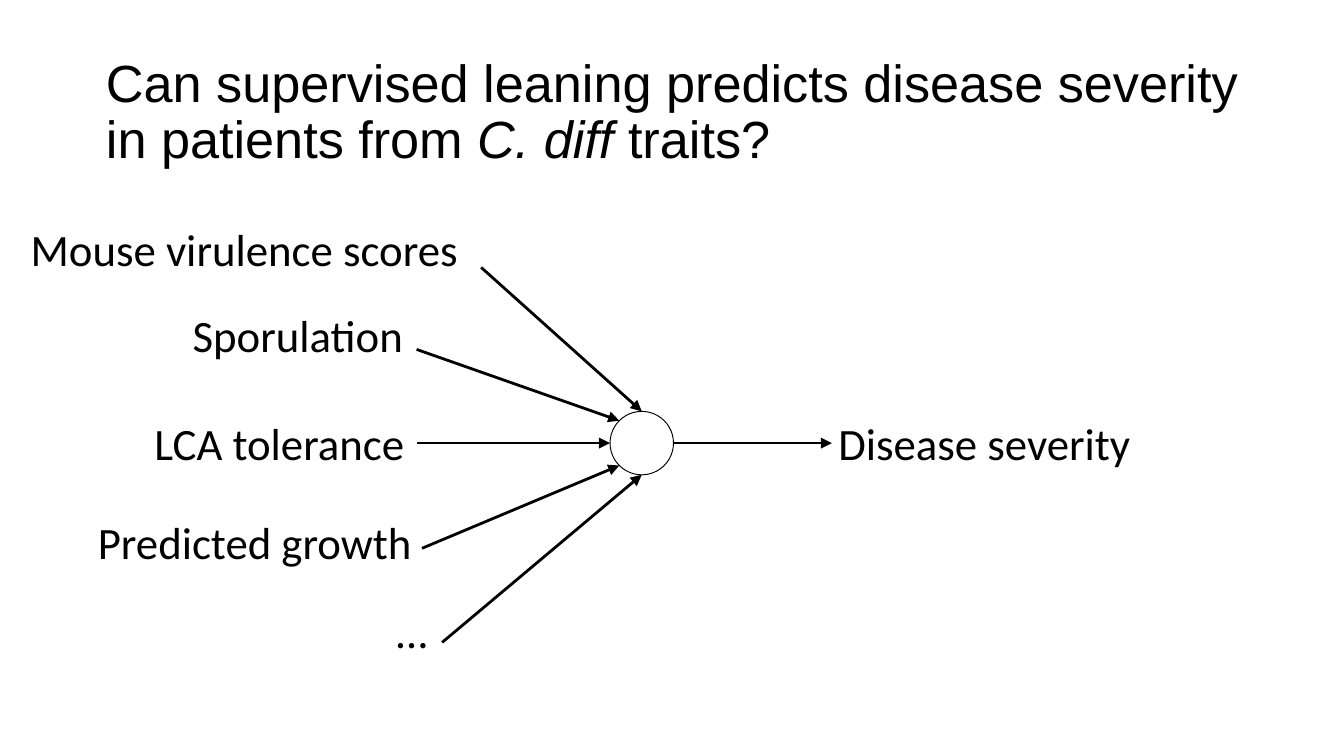
from math import cos, radians, sin

from lxml import etree
from pptx import Presentation
from pptx.dml.color import RGBColor
from pptx.enum.shapes import MSO_CONNECTOR, MSO_SHAPE
from pptx.enum.text import MSO_ANCHOR, MSO_AUTO_SIZE, PP_ALIGN
from pptx.oxml.ns import qn
from pptx.util import Inches, Pt

STRAIGHT = MSO_CONNECTOR.STRAIGHT
OVAL = MSO_SHAPE.OVAL
MIDDLE = MSO_ANCHOR.MIDDLE
LEFT = PP_ALIGN.LEFT
GROW = MSO_AUTO_SIZE.SHAPE_TO_FIT_TEXT
FIXED = MSO_AUTO_SIZE.NONE

# The grid has 100 columns and 56.25 rows, each a tenth of an inch
COLUMNS, ROWS = 100, 56.25
INK = "000000"
LABEL_HEIGHT = 7.7

# Model node: centre and radius in grid units
NODE_X, NODE_Y, NODE_RADIUS = 47.75, 32.97, 2.36

# Each trait: label, left, top, width, start of its arrow
TRAITS = [
    ("Mouse virulence scores", 1.3, 16, 34.5, (35.8, 19.9)),
    ("Sporulation", 13.35, 22.4, 25.4, (31, 26)),
    ("LCA tolerance", 10.5, 30.45, 25.4, (31, NODE_Y)),
    ("Predicted growth", 6.3, 37.8, 29, (31.4, 40.8)),
    ("…", 28.5, 44.4, 4.8, (32.9, 47.8)),
]


def grid(*units):
    return [Inches(unit / 10) for unit in units]


def color(hex_string):
    return RGBColor.from_string(hex_string)


def add_run(paragraph, text, font, size, italic=False):
    run = paragraph.add_run()
    run.text = text
    run.font.name = font
    run.font.size = Pt(size)
    run.font.italic = italic
    run.font.color.rgb = color(INK)


def set_title(slide):
    title = slide.shapes.title
    title.left, title.top, title.width, title.height = grid(6.88, 3, 86.25, 10.87)
    frame = title.text_frame
    frame.word_wrap = True
    frame.auto_size = FIXED
    frame.vertical_anchor = MIDDLE
    question = frame.paragraphs[0]
    question.alignment = LEFT
    question.line_spacing = 0.9
    add_run(question, "Can supervised leaning predicts disease severity in patients from ", "Arial", 28)
    add_run(question, "C. diff", "Arial", 28, italic=True)
    add_run(question, " traits?", "Arial", 28)


def add_label(slide, text, left, top, width):
    frame = slide.shapes.add_textbox(*grid(left, top, width, LABEL_HEIGHT)).text_frame
    frame.word_wrap = True
    frame.auto_size = GROW
    add_run(frame.paragraphs[0], text, "Calibri", 24)


def add_arrow(slide, start, end):
    arrow = slide.shapes.add_connector(STRAIGHT, *grid(*start, *end))
    arrow.line.color.rgb = color(INK)
    arrow.line.width = Pt(1.5)
    etree.SubElement(arrow.get_or_add_ln(), qn("a:tailEnd"), type="triangle")
    etree.SubElement(arrow._element.spPr, qn("a:effectLst"))


def add_node(slide):
    diameter = 2 * NODE_RADIUS
    node = slide.shapes.add_shape(
        OVAL, *grid(NODE_X - NODE_RADIUS, NODE_Y - NODE_RADIUS, diameter, diameter))
    node.shadow.inherit = False
    node.fill.background()
    node.line.color.rgb = color(INK)
    node.line.width = Pt(0.5)


def node_edge(degrees):
    """Point on the node's rim, counted anticlockwise from its right side."""
    angle = radians(degrees)
    return NODE_X + NODE_RADIUS * cos(angle), NODE_Y - NODE_RADIUS * sin(angle)


def main():
    deck = Presentation()
    deck.slide_width, deck.slide_height = grid(COLUMNS, ROWS)
    slide = deck.slides.add_slide(deck.slide_layouts[5])
    set_title(slide)
    add_node(slide)

    # Traits enter the node at equal angles, from its top to its bottom
    for index, (trait, left, top, width, start) in enumerate(TRAITS):
        add_label(slide, trait, left, top, width)
        add_arrow(slide, start, node_edge(90 + 45 * index))

    # Predicted outcome
    add_label(slide, "Disease severity", 61.4, 30.45, 25.4)
    add_arrow(slide, node_edge(0), (61.9, NODE_Y))

    deck.save("out.pptx")


if __name__ == "__main__":
    main()
